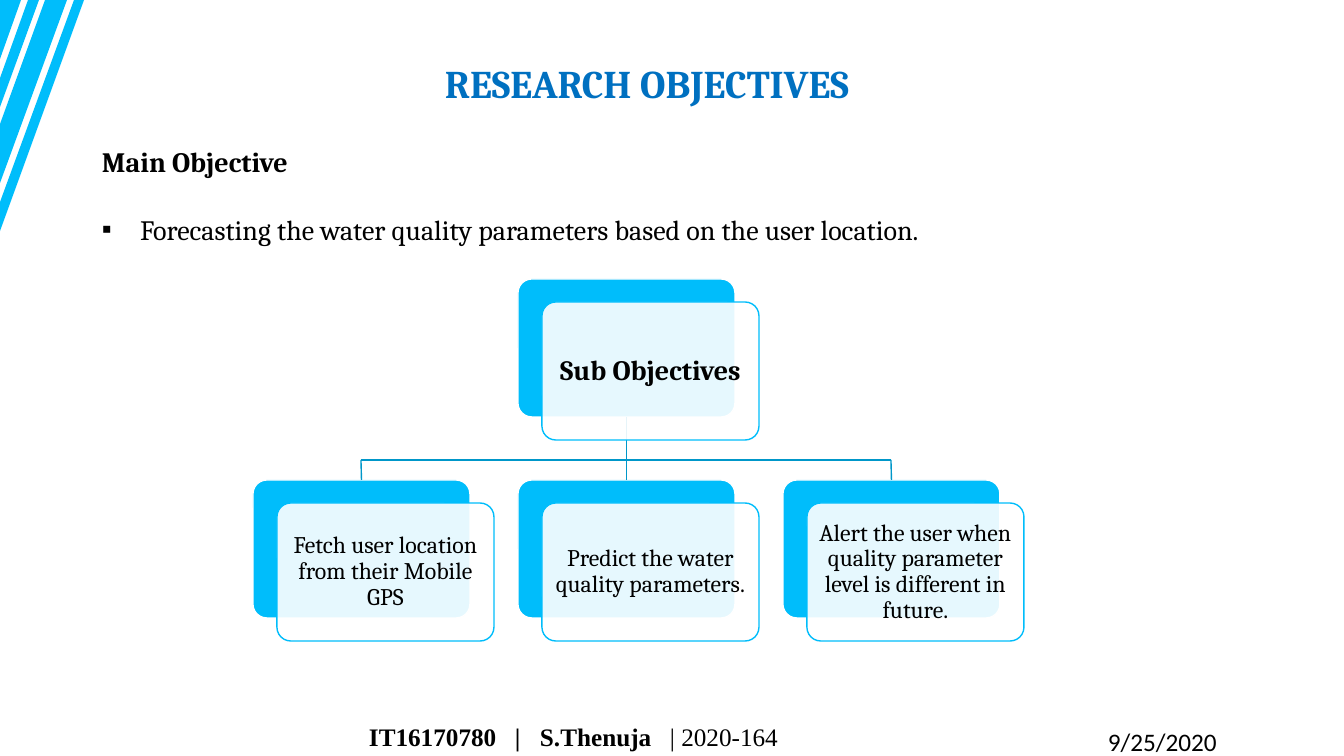
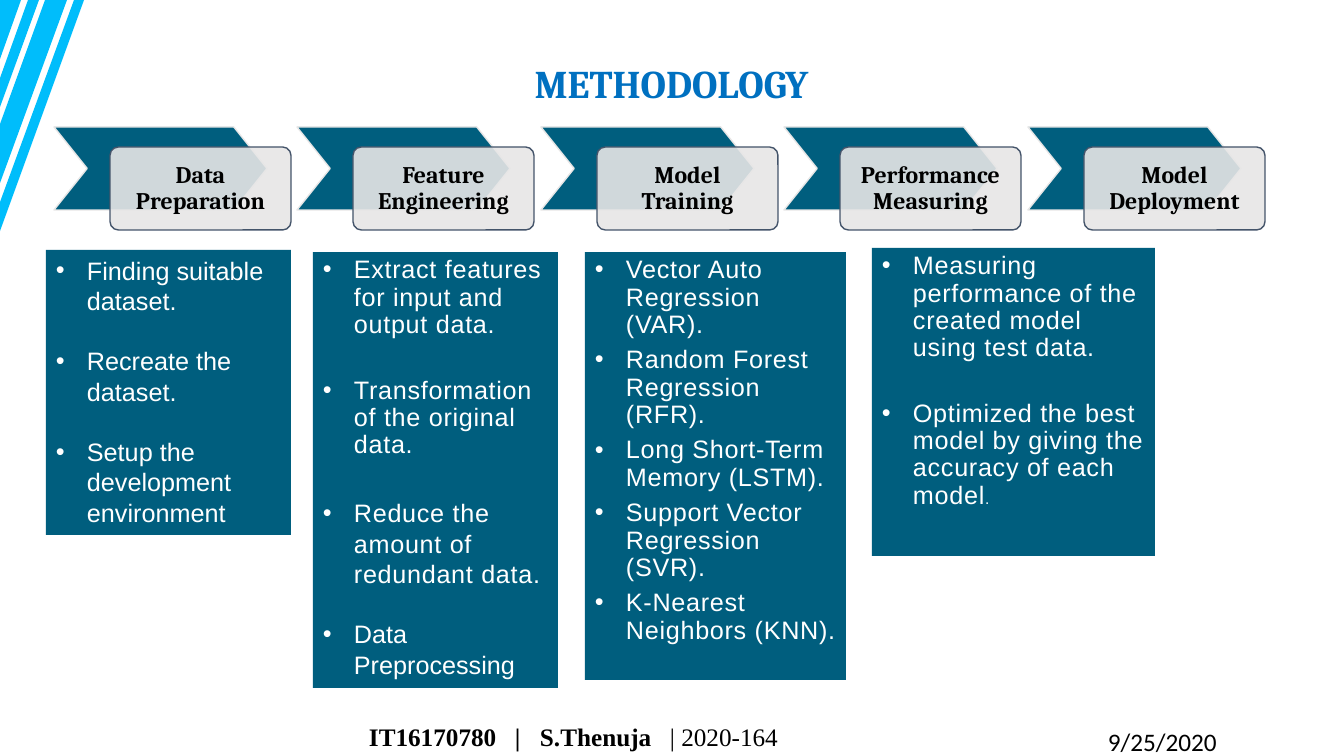
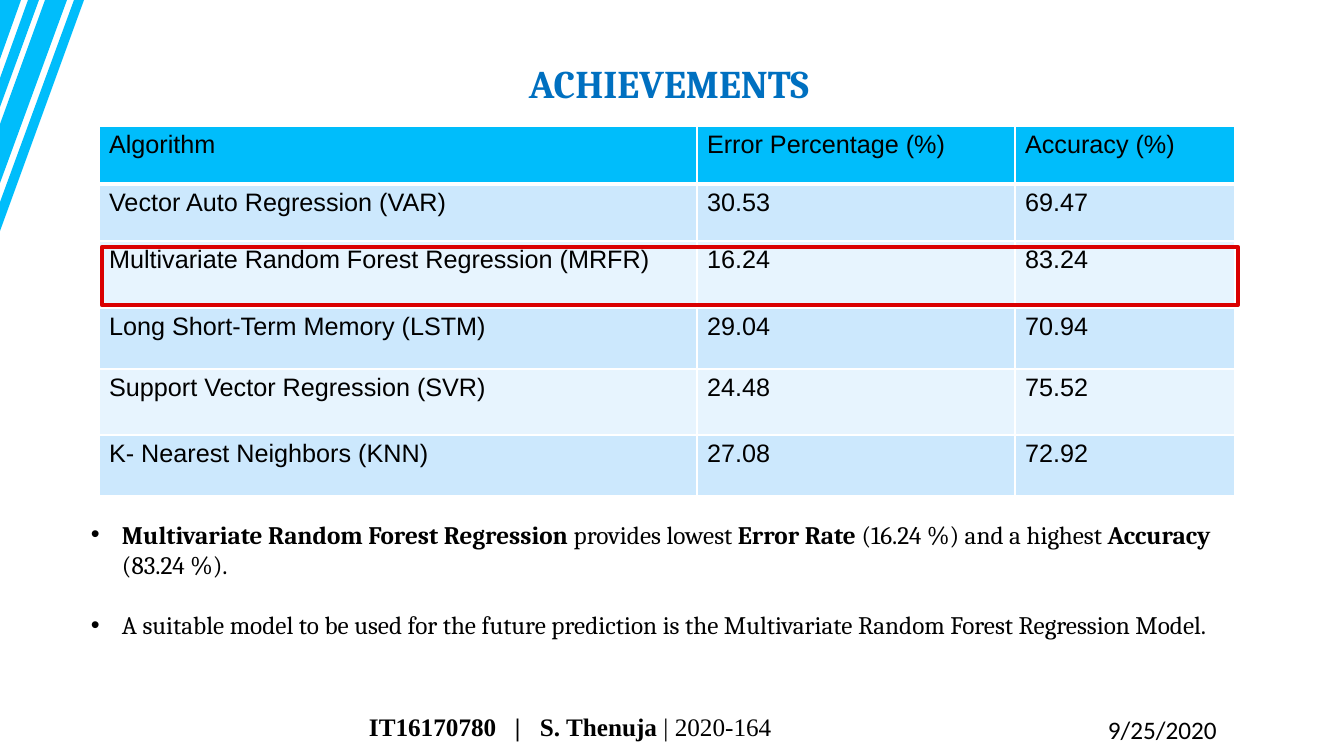
from lxml.etree import SubElement
from pptx import Presentation
from pptx.dml.color import RGBColor
from pptx.enum.shapes import MSO_CONNECTOR, MSO_SHAPE
from pptx.enum.text import MSO_ANCHOR, PP_ALIGN
from pptx.oxml.ns import qn
from pptx.util import Emu, Pt

SCALE = 914400 / 100.8
COLORS = {
    "sky": "00BDFB", "title": "0070C0", "black": "000000", "white": "FFFFFF",
    "branch": "0097C9", "teal": "005E7E", "grey": "E7E6E6", "slate": "44546A",
    "band": "CCE8FD", "light_band": "E7F4FE", "red": "DA0000",
}
SERIF, SANS = "Cambria", "Arial"
LINE_GAP = 21.6


def emu(*px):
    """Turn px lengths into EMU."""
    return [Emu(round(v * SCALE)) for v in px]


def rgb(name):
    """Look up a colour by name."""
    return RGBColor.from_string(COLORS[name])


def sub(parent, tag, **attrs):
    """Append a DrawingML element."""
    return SubElement(parent, qn(tag), **attrs)


def paint(sp, fill=None, line=None, width=1, alpha=None):
    """Set fill, outline and opacity of a shape without shadow."""
    sp.shadow.inherit = False
    if fill:
        sp.fill.solid()
        sp.fill.fore_color.rgb = rgb(fill)
        if alpha:
            color = sp.fill._xPr.find(qn("a:solidFill"))[0]
            sub(color, "a:alpha", val=str(alpha * 1000))
    else:
        sp.fill.background()
    if line:
        sp.line.color.rgb = rgb(line)
        sp.line.width = Pt(width)
    else:
        sp.line.fill.background()


def add_preset(s, kind, box, adj=None, **style):
    """Add a painted preset shape."""
    sp = s.shapes.add_shape(kind, *emu(*box))
    if adj is not None:
        sp.adjustments[0] = adj
    paint(sp, **style)
    return sp


def frame(sp, inset=(10, 5), anchor=MSO_ANCHOR.TOP):
    """Prepare a wrapping text frame and return it."""
    tf = sp.text_frame
    tf.word_wrap = True
    tf.vertical_anchor = anchor
    tf.margin_left = tf.margin_right = emu(inset[0])[0]
    tf.margin_top = tf.margin_bottom = emu(inset[1])[0]
    return tf


def add_text(s, box, **kw):
    """Add a text box and return its frame."""
    return frame(s.shapes.add_textbox(*emu(*box)), **kw)


def next_paragraph(tf, index):
    """Return the first paragraph or a new one."""
    return tf.add_paragraph() if index else tf.paragraphs[0]


def add_run(p, text, size, font=SERIF, color="black", bold=False, spacing=0):
    """Add one formatted run."""
    r = p.add_run()
    r.text = text
    r.font.size, r.font.name, r.font.bold = Pt(size), font, bold
    r.font.color.rgb = rgb(color)
    if spacing:
        r._r.get_or_add_rPr().set("spc", str(spacing))


def add_bullet(p, char="•", indent=31):
    """Give a paragraph a hanging bullet."""
    pPr = p._p.get_or_add_pPr()
    hang = emu(indent)[0]
    pPr.set("marL", str(hang))
    pPr.set("indent", str(-hang))
    sub(pPr, "a:buFont", typeface=SANS)
    sub(pPr, "a:buChar", char=char)


def add_centred(sp, text, size, inset, bold=False):
    """Write centred text in a card."""
    p = frame(sp, (inset, inset), MSO_ANCHOR.MIDDLE).paragraphs[0]
    p.alignment, p.line_spacing = PP_ALIGN.CENTER, 0.9
    add_run(p, text, size, bold=bold)


def add_stripes(s):
    """Draw the slanted corner stripes."""
    stripes = [
        [(74, 0), (84, 0), (0, 231), (0, 202)],
        [(39, 0), (0, 107), (0, 78), (28, 0)],
        [(67, 0), (0, 183), (0, 124), (45, 0)],
        [(0, 0), (21, 0), (0, 59)],
    ]
    builder = s.shapes.build_freeform(*stripes[0][0], scale=SCALE)
    for i, points in enumerate(stripes):
        if i:
            builder.move_to(*points[0])
        builder.add_line_segments(points[1:], close=True)
    paint(builder.convert_to_shape(), fill="sky")


def add_footer(s, author, top, date_top):
    """Write the author line and the date."""
    p = add_text(s, (359, top, 672, 25)).paragraphs[0]
    p.line_spacing = Pt(9)
    tabs = sub(p._p.get_or_add_pPr(), "a:tabLst")
    for stop in emu(146, 171, 301):
        sub(tabs, "a:tab", pos=str(stop), algn="l")
    add_run(p, f"IT16170780\t|\t{author}", 18, "Times New Roman", bold=True)
    add_run(p, "| 2020-164", 18, "Times New Roman")
    date = add_text(s, (1098, date_top, 137, 40)).paragraphs[0]
    add_run(date, "9/25/2020", 18, "Calibri")


def start_slide(prs, title, left=435, width=473, align=PP_ALIGN.LEFT,
                author="S.Thenuja\t", footer_top=734, date_top=721):
    """Add a slide with stripes, title and footer."""
    s = prs.slides.add_slide(prs.slide_layouts[6])
    add_stripes(s)
    tf = add_text(s, (left, 0, width, 165), anchor=MSO_ANCHOR.MIDDLE)
    p = tf.paragraphs[0]
    p.alignment = align
    add_run(p, title, 28, color="title", bold=True)
    add_footer(s, author, footer_top, date_top)
    return s


def add_branch(s, x1, y1, x2, y2):
    """Add one straight line of the tree."""
    line = s.shapes.add_connector(MSO_CONNECTOR.STRAIGHT, *emu(x1, y1, x2, y2))
    line.line.color.rgb = rgb("branch")
    line.line.width = Pt(1)
    sub(line._element.spPr, "a:effectLst")
    return line


def add_tree(s, left, top, root, leaves):
    """Draw a root card above a row of leaf cards."""
    w, h, pitch, drop, bus = 217, 138, 265, 201, 181
    mid = left + pitch
    spots = [(mid, top)] + [(left + i * pitch, top + drop) for i in range(len(leaves))]
    backs = [add_preset(s, MSO_SHAPE.ROUNDED_RECTANGLE, (x, y, w, h), 0.1,
                        fill="sky", line="white") for x, y in spots]
    centres = [x + w // 2 for x, _ in spots[1:]]
    add_branch(s, centres[0], top + bus, centres[-1], top + bus)
    for x, back in zip(centres, backs[1:]):
        is_trunk = x == mid + w // 2
        line = add_branch(s, x, top + (h if is_trunk else bus), x, top + drop)
        if is_trunk:
            line.begin_connect(backs[0], 2)
        line.end_connect(back, 0)
    for i, ((x, y), text) in enumerate(zip(spots, [root] + leaves)):
        card = add_preset(s, MSO_SHAPE.ROUNDED_RECTANGLE, (x + 24, y + 23, w, h), 0.1,
                          fill="white", line="sky", alpha=90)
        add_centred(card, text, 17 if i else 20, 7, bold=not i)


def add_steps(s, left, top, names):
    """Draw a row of chevrons with overlapping labels."""
    for i, name in enumerate(names):
        x = left + 487 * i // 2
        add_preset(s, MSO_SHAPE.CHEVRON, (x, top, 213, 83), 0.4, fill="teal", line="grey")
        label = add_preset(s, MSO_SHAPE.ROUNDED_RECTANGLE, (x + 56, top + 20, 181, 83), 0.1,
                           fill="grey", line="slate", alpha=90)
        add_centred(label, name, 17, 13, bold=True)


def add_panel(s, box, items, gap=LINE_GAP, loose=(), plain=()):
    """Add a filled bullet panel; loose and plain list item numbers."""
    tf = frame(add_preset(s, MSO_SHAPE.RECTANGLE, box, fill="teal"))
    for i, text in enumerate(items):
        p = next_paragraph(tf, i)
        p.alignment = PP_ALIGN.LEFT
        if i not in loose:
            p.line_spacing, p.space_after = 0.9, Pt(6)
        if i and gap:
            p.space_before = Pt(gap)
        add_bullet(p)
        add_run(p, text, 18, SANS, "white", spacing=0 if i in plain else 50)
    return tf


def add_border(cell, **widths):
    """Give a cell white borders of the given widths in points."""
    tcPr = cell._tc.get_or_add_tcPr()
    for i, side in enumerate("LRTB"):
        ln = tcPr.makeelement(qn(f"a:ln{side}"), w=str(Pt(widths.get(side, 1))))
        sub(sub(ln, "a:solidFill"), "a:srgbClr", val=COLORS["white"])
        tcPr.insert(i, ln)


def add_results(s, left, top, cols, heights, rows):
    """Add the table of results."""
    shape = s.shapes.add_table(len(rows), len(cols),
                               *emu(left, top, sum(cols), sum(heights)))
    table = shape.table
    for col, width in zip(table.columns, emu(*cols)):
        col.width = width
    for i, (row, height) in enumerate(zip(table.rows, emu(*heights))):
        row.height = height
        for cell, text in zip(row.cells, rows[i]):
            cell.fill.solid()
            cell.fill.fore_color.rgb = rgb(
                "sky" if i == 0 else "band" if i % 2 else "light_band")
            add_run(cell.text_frame.paragraphs[0], text, 18, SANS)
            add_border(cell, B=1 if i else 3, T=3 if i == 1 else 1)


def build_objectives(prs):
    """Build the objectives slide."""
    s = start_slide(prs, "RESEARCH OBJECTIVES")
    tf = add_text(s, (92, 140, 1092, 130))
    add_run(tf.paragraphs[0], "Main Objective", 20, bold=True)
    p = tf.add_paragraph()
    p.space_before = Pt(24)
    add_bullet(p, "▪", 38)
    add_run(p, "Forecasting the water quality parameters based on the user location.", 20)
    add_tree(s, 253, 279, "Sub Objectives", [
        "Fetch user location from their Mobile GPS",
        "Predict the water quality parameters.",
        "Alert the user when quality parameter level is different in future.",
    ])


def build_methodology(prs):
    """Build the methodology slide."""
    s = start_slide(prs, "METHODOLOGY", align=PP_ALIGN.CENTER)
    add_panel(s, (46, 250, 245, 285), [
        "Finding suitable dataset.", "Recreate the dataset.",
        "Setup the development environment",
    ], loose=range(3), plain=range(3))
    add_panel(s, (313, 252, 245, 436), [
        "Extract features for input and output data.",
        "Transformation of the original data.",
        "Reduce the amount of redundant data.", "Data Preprocessing",
    ], loose=(2, 3), plain=(3,))
    add_panel(s, (585, 252, 261, 428), [
        "Vector Auto Regression (VAR).", "Random Forest Regression (RFR).",
        "Long Short-Term Memory (LSTM).", "Support Vector Regression (SVR).",
        "K-Nearest Neighbors (KNN).",
    ], gap=0)
    tf = add_panel(s, (872, 248, 283, 308), [
        "Measuring performance of the created model using test data.",
        "Optimized the best model by giving the accuracy of each model",
    ])
    add_run(tf.paragraphs[-1], ".", 11, SANS, "white", spacing=50)
    add_steps(s, 54, 127, ["Data Preparation", "Feature Engineering", "Model Training",
                           "Performance Measuring", "Model Deployment"])


def build_achievements(prs):
    """Build the achievements slide."""
    s = start_slide(prs, "ACHIEVEMENTS", left=519, width=409, author="S. Thenuja ",
                    footer_top=724, date_top=709)
    add_results(s, 99, 126, [598, 318, 220], [58, 57, 67, 61, 66, 61], [
        ("Algorithm", "Error Percentage (%)", "Accuracy (%)"),
        ("Vector Auto Regression (VAR)", "30.53", "69.47"),
        ("Multivariate Random Forest Regression (MRFR)", "16.24", "83.24"),
        ("Long Short-Term Memory (LSTM)", "29.04", "70.94"),
        ("Support Vector Regression (SVR)", "24.48", "75.52"),
        ("K- Nearest Neighbors (KNN)", "27.08", "72.92"),
    ])
    add_preset(s, MSO_SHAPE.RECTANGLE, (102, 247, 1136, 58), line="red", width=3)
    findings = [
        [("Multivariate Random Forest Regression ", True), ("provides lowest ", False),
         ("Error Rate ", True), ("(16.24 %) and a highest ", False),
         ("Accuracy", True), (" (83.24 %).", False)],
        [("A suitable model to be used for the future prediction is the "
          "Multivariate Random Forest Regression Model.", False)],
    ]
    tf = add_text(s, (81, 514, 1183, 163))
    for i, runs in enumerate(findings):
        p = next_paragraph(tf, i)
        if i:
            p.space_before = Pt(LINE_GAP)
        add_bullet(p)
        for text, bold in runs:
            add_run(p, text, 18, bold=bold)


def main():
    """Build and save the presentation."""
    prs = Presentation()
    prs.slide_width, prs.slide_height = emu(1344, 756)
    build_objectives(prs)
    build_methodology(prs)
    build_achievements(prs)
    prs.save("out.pptx")


if __name__ == "__main__":
    main()
